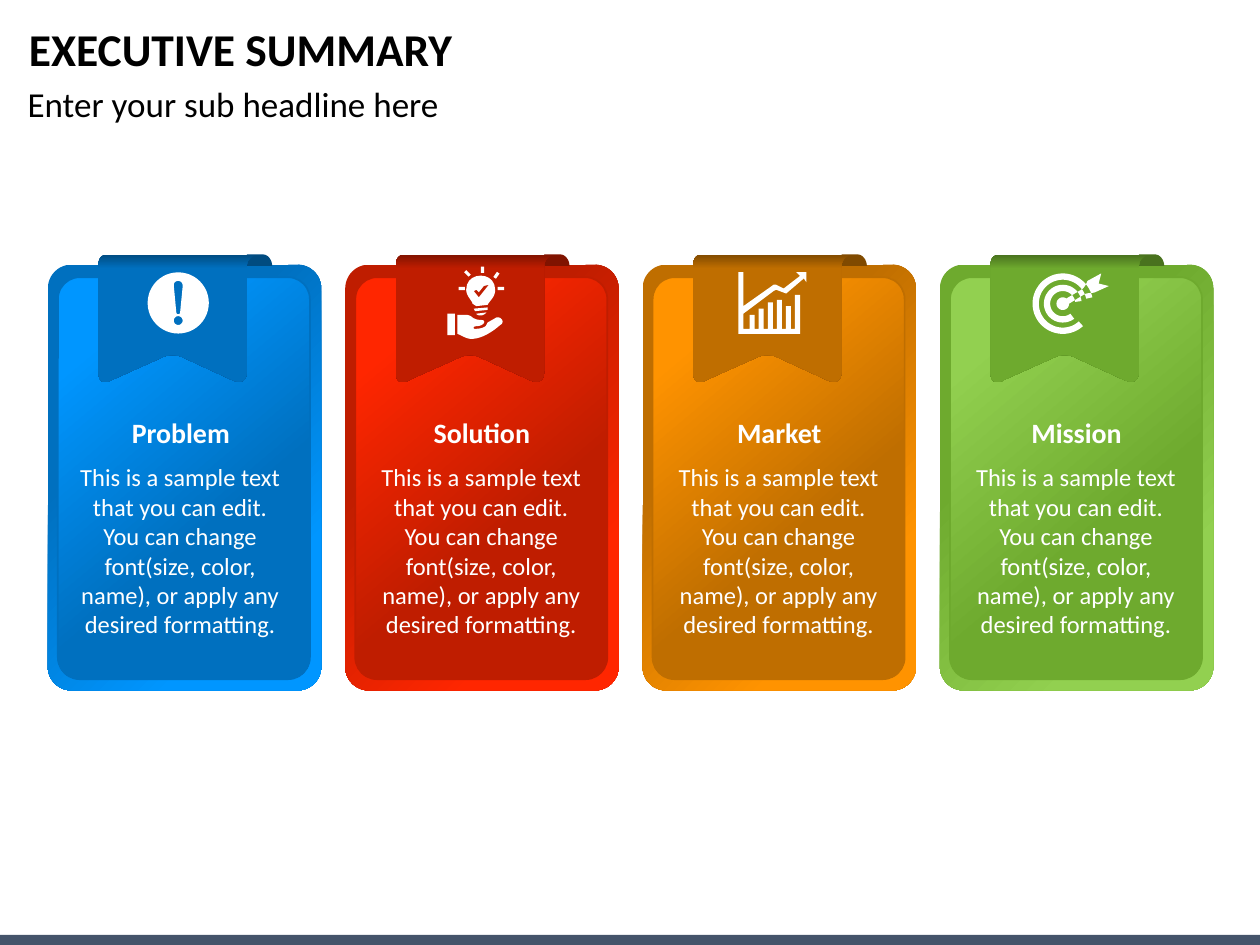
"""Build an executive summary slide with four ribbon cards."""
import dataclasses
import math

import pptx
import pptx.dml.color
import pptx.enum.shapes
import pptx.enum.text
import pptx.util

Inches = pptx.util.Inches
SHAPES = pptx.enum.shapes.MSO_SHAPE
ALIGN = pptx.enum.text.PP_ALIGN


@dataclasses.dataclass(frozen=True)
class Theme:
    """Colours, font and type sizes of the slide."""
    font: str = "Calibri"
    ink: str = "000000"
    light: str = "FFFFFF"
    footer: str = "44546A"
    title_size: int = 26
    subtitle_size: int = 20
    heading_size: int = 16
    body_size: int = 14


@dataclasses.dataclass(frozen=True)
class Card:
    """Heading, colours, text position and icon outlines of one card."""
    heading: str
    bright: str
    deep: str
    shade: str
    text_left: float
    icon: list


THEME = Theme()
CARD_LEFT, CARD_PITCH = 0.38, 2.36
BODY = ("This is a sample text that you can edit. You can change "
        "font(size, color, name), or apply any desired formatting.")
FOLD = [(1.56, 2.11), (1.78, 2.11), (1.78, 2.07, 1.75, 2.01, 1.69, 2.02), (1.58, 2.02)]
RIBBON = [(0.4, 2.14), (0.4, 2.94), (0.4, 3.03, 0.44, 3.06, 0.52, 3.01), (0.9, 2.84),
          (0.96, 2.81, 1.02, 2.81, 1.08, 2.84), (1.45, 3.01),
          (1.53, 3.05, 1.58, 3.03, 1.58, 2.94), (1.58, 2.11),
          (1.58, 2.07, 1.61, 2.03, 1.67, 2.02), (0.47, 2.02),
          (0.41, 2.02, 0.4, 2.07, 0.4, 2.14)]


def rgb(value):
    """Return a colour from its hexadecimal text."""
    return pptx.dml.color.RGBColor.from_string(value)


def arc(x, y, radius, start=0, end=360, steps=48):
    """Return points along a circular arc, with angles in degrees."""
    angles = [math.radians(start + (end - start) * i / steps) for i in range(steps + 1)]
    return [(x + radius * math.cos(a), y + radius * math.sin(a)) for a in angles]


def ring(x, y, outer, inner, start, end):
    """Return the outline of an open ring."""
    return arc(x, y, outer, start, end) + arc(x, y, inner, end, start)


def ray(x, y, angle, length=0.05, width=0.025):
    """Return a short bar centred on a point and turned by an angle."""
    cosine, sine = math.cos(math.radians(angle)), math.sin(math.radians(angle))
    corners = [(-1, -1), (1, -1), (1, 1), (-1, 1)]
    return [(x + (i * length * cosine - j * width * sine) / 2,
             y + (i * length * sine + j * width * cosine) / 2) for i, j in corners]


def box(left, top, right, bottom):
    """Return the corners of a rectangle."""
    return [(left, top), (right, top), (right, bottom), (left, bottom)]


def flatten(outline, steps=10):
    """Turn an outline of points and cubic curves into points."""
    points = [outline[0]]
    for segment in outline[1:]:
        if len(segment) == 2:
            points.append(segment)
            continue
        controls = [points[-1], segment[:2], segment[2:4], segment[4:]]
        for i in range(1, steps + 1):
            t = i / steps
            weights = [(1 - t) ** 3, 3 * t * (1 - t) ** 2, 3 * t * t * (1 - t), t ** 3]
            points.append(tuple(sum(w * c[axis] for w, c in zip(weights, controls))
                                for axis in (0, 1)))
    return points


def exclamation_icon():
    """Return a disc with an exclamation mark cut out."""
    mark = [(1.38, 2.27), (1.37, 2.22, 1.46, 2.21, 1.45, 2.28), (1.43, 2.48),
            (1.43, 2.5, 1.4, 2.5, 1.4, 2.48)]
    return [arc(1.415, 2.405, 0.243), mark, arc(1.415, 2.545, 0.035)]


def idea_icon():
    """Return a hand holding a light bulb."""
    bulb = [(3.75, 2.41), (3.75, 2.39, 3.7, 2.35, 3.7, 2.3), (3.7, 2.15, 3.93, 2.15, 3.93, 2.3),
            (3.93, 2.36, 3.89, 2.38, 3.87, 2.42), (3.78, 2.43)]
    check = [(3.76, 2.31), (3.78, 2.3), (3.8, 2.32), (3.84, 2.27), (3.88, 2.26), (3.8, 2.36)]
    hand = [(3.63, 2.5), (3.68, 2.5, 3.72, 2.49, 3.75, 2.52), (3.78, 2.54, 3.81, 2.54, 3.83, 2.54),
            (3.86, 2.55, 3.84, 2.59, 3.77, 2.59), (3.75, 2.6, 3.76, 2.61, 3.77, 2.61),
            (3.81, 2.61, 3.85, 2.6, 3.86, 2.58), (3.87, 2.56), (3.94, 2.52),
            (3.98, 2.51, 4.01, 2.56, 3.97, 2.58), (3.9, 2.64, 3.82, 2.69, 3.74, 2.69),
            (3.7, 2.69, 3.66, 2.66, 3.63, 2.65)]
    bands = [[(3.76, 2.45), (3.87, 2.44), (3.87, 2.46), (3.77, 2.47)],
             [(3.78, 2.49), (3.86, 2.48), (3.84, 2.51, 3.79, 2.51, 3.78, 2.49)]]
    rays = [ray(3.665, 2.29, 0), ray(3.71, 2.17, 45), ray(3.83, 2.142, 90),
            ray(3.94, 2.185, 125), ray(3.975, 2.29, 0)]
    return [bulb, check, hand, box(3.55, 2.49, 3.61, 2.66)] + bands + rays


def chart_icon():
    """Return bars on two axes below a rising arrow."""
    frame = [(5.86, 2.65), (5.86, 2.16), (5.9, 2.16), (5.9, 2.43), (6.14, 2.26), (6.16, 2.26),
             (6.22, 2.29), (6.35, 2.19), (6.32, 2.16), (6.4, 2.16), (6.4, 2.24), (6.38, 2.21),
             (6.24, 2.33), (6.16, 2.3), (6.14, 2.31), (5.9, 2.49), (5.9, 2.61)]
    for i, top in enumerate([2.5, 2.45, 2.4, 2.38, 2.43, 2.34]):
        left = 5.95 + 0.072 * i
        frame += [(left, 2.61), (left, top), (left + 0.04, top), (left + 0.04, 2.61)]
    return [frame[:-1] + [(6.35, 2.65)]]


def target_icon():
    """Return a target hit by an arrow."""
    x, y = 8.435, 2.41
    arrow = arc(x, y, 0.05, 0, 305) + [
        (8.58, 2.3), (8.6, 2.29, 8.62, 2.26, 8.63, 2.23), (8.74, 2.17), (8.72, 2.25),
        (8.8, 2.27), (8.69, 2.32), (8.66, 2.33, 8.63, 2.32, 8.6, 2.34)]
    return [ring(x, y, 0.24, 0.19, -12, -312), ring(x, y, 0.15, 0.1, -8, -307), arrow]


def style(shape, colour):
    """Give a shape a solid fill, no line and no shadow."""
    shape.shadow.inherit = False
    shape.fill.solid()
    shape.fill.fore_color.rgb = rgb(colour)
    shape.line.fill.background()


def shade(shape, stops, angle):
    """Fill a shape with a two-stop gradient at a clockwise angle."""
    shape.fill.gradient()
    shape.fill.gradient_angle = 360 - angle
    for stop, (position, colour) in zip(shape.fill.gradient_stops, stops):
        stop.position = position / 100
        stop.color.rgb = rgb(colour)


def add_preset(slide, kind, bounds, colour):
    """Add a preset shape with a solid fill."""
    shape = slide.shapes.add_shape(kind, *map(Inches, bounds))
    style(shape, colour)
    return shape


def add_outline(slide, outlines, colour, offset=0):
    """Add a freeform made of one or more closed outlines."""
    builder = None
    for outline in outlines:
        points = [(Inches(x + offset), Inches(y)) for x, y in flatten(outline)]
        if builder is None:
            builder = slide.shapes.build_freeform(*points[0])
        else:
            builder.move_to(*points[0])
        builder.add_line_segments(points[1:], close=True)
    shape = builder.convert_to_shape()
    style(shape, colour)
    return shape


def write(shape, text, size, colour, bold=False, align=ALIGN.LEFT):
    """Set and format the single paragraph of a shape."""
    shape.text_frame.text = text
    shape.text_frame.word_wrap = True
    paragraph = shape.text_frame.paragraphs[0]
    paragraph.alignment = align
    font = paragraph.runs[0].font
    font.name, font.size, font.bold = THEME.font, pptx.util.Pt(size), bold
    font.color.rgb = rgb(colour)
    return paragraph


def add_text(slide, bounds, *args, **kwargs):
    """Add a text box and return its paragraph."""
    return write(slide.shapes.add_textbox(*map(Inches, bounds)), *args, **kwargs)


def add_header(slide):
    """Format the title and add the subtitle."""
    title = slide.shapes.title
    title.left, title.top, title.width, title.height = map(Inches, (0.13, 0.17, 9.75, 0.48))
    paragraph = write(title, "EXECUTIVE SUMMARY", THEME.title_size, THEME.ink, bold=True)
    title.text_frame.vertical_anchor = pptx.enum.text.MSO_ANCHOR.MIDDLE
    paragraph.line_spacing = 0.9
    subtitle = add_text(slide, (0.12, 0.64, 9.75, 0.64), "Enter your sub headline here",
                        THEME.subtitle_size, THEME.ink)
    subtitle.line_spacing = 0.9


def add_card(slide, left, card):
    """Add one card with its panel, ribbon, icon and texts."""
    back = add_preset(slide, SHAPES.ROUNDED_RECTANGLE, (left, 2.1, 2.17, 3.38), card.deep)
    shade(back, [(33, card.deep), (78, card.bright)], 45)
    panel = add_preset(slide, SHAPES.ROUNDED_RECTANGLE, (left + 0.08, 2.2, 2, 3.19), card.deep)
    shade(panel, [(16, card.bright), (62, card.deep)], 50)
    panel.line.color.rgb = rgb(card.deep)
    panel.line.width = pptx.util.Pt(1)
    for shape in (back, panel):
        shape.adjustments[0] = 0.087
    add_outline(slide, [FOLD], card.shade, left)
    ribbon = add_outline(slide, [RIBBON], card.deep, left)
    shade(ribbon, [(0, card.shade), (11, card.deep)], 90)
    add_outline(slide, card.icon, THEME.light)
    add_text(slide, (card.text_left + 0.29, 3.25, 1.27, 0.37), card.heading,
             THEME.heading_size, THEME.light, bold=True, align=ALIGN.CENTER)
    add_text(slide, (card.text_left, 3.62, 1.84, 1.51), BODY,
             THEME.body_size, THEME.light, align=ALIGN.CENTER)


def main():
    """Build and save the presentation."""
    presentation = pptx.Presentation()
    presentation.slide_width, presentation.slide_height = Inches(10), Inches(7.5)
    slide = presentation.slides.add_slide(presentation.slide_layouts[5])
    add_preset(slide, SHAPES.RECTANGLE, (0, 7.42, 10, 0.08), THEME.footer)
    add_header(slide)
    cards = [Card("Problem", "0096FF", "0070BF", "004B80", 0.51, exclamation_icon()),
             Card("Solution", "FF2600", "BF1D00", "801300", 2.9, idea_icon()),
             Card("Market", "FF9300", "BF6E00", "804A00", 5.26, chart_icon()),
             Card("Mission", "92D050", "6EAA2E", "49721E", 7.62, target_icon())]
    for i, card in enumerate(cards):
        add_card(slide, CARD_LEFT + CARD_PITCH * i, card)
    presentation.save("out.pptx")


if __name__ == "__main__":
    main()
